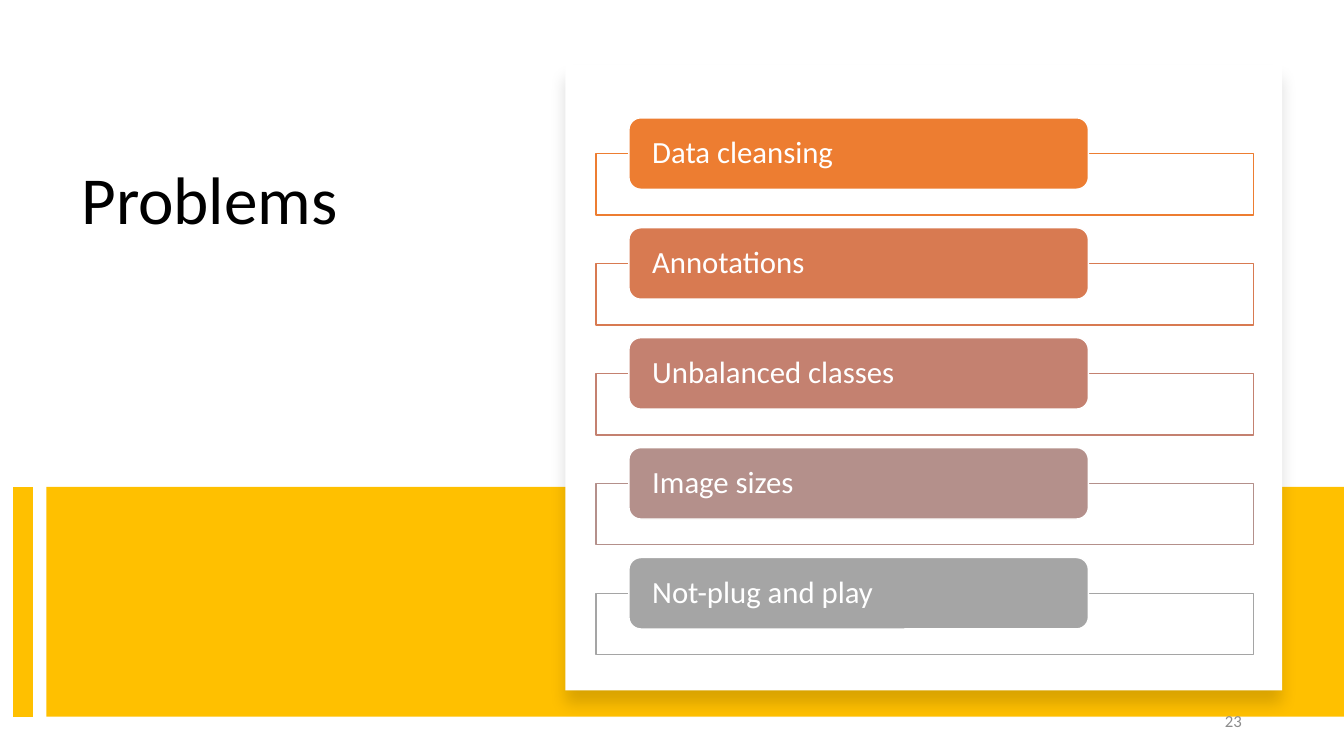
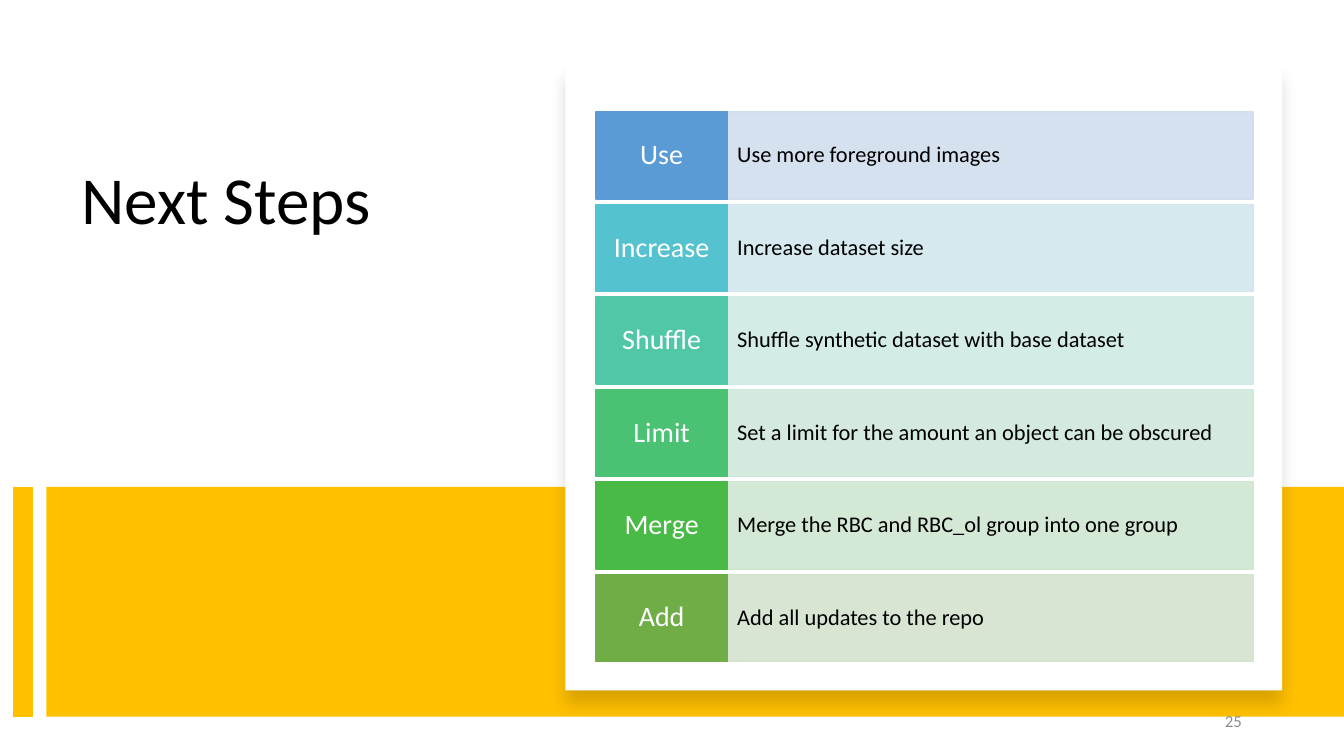
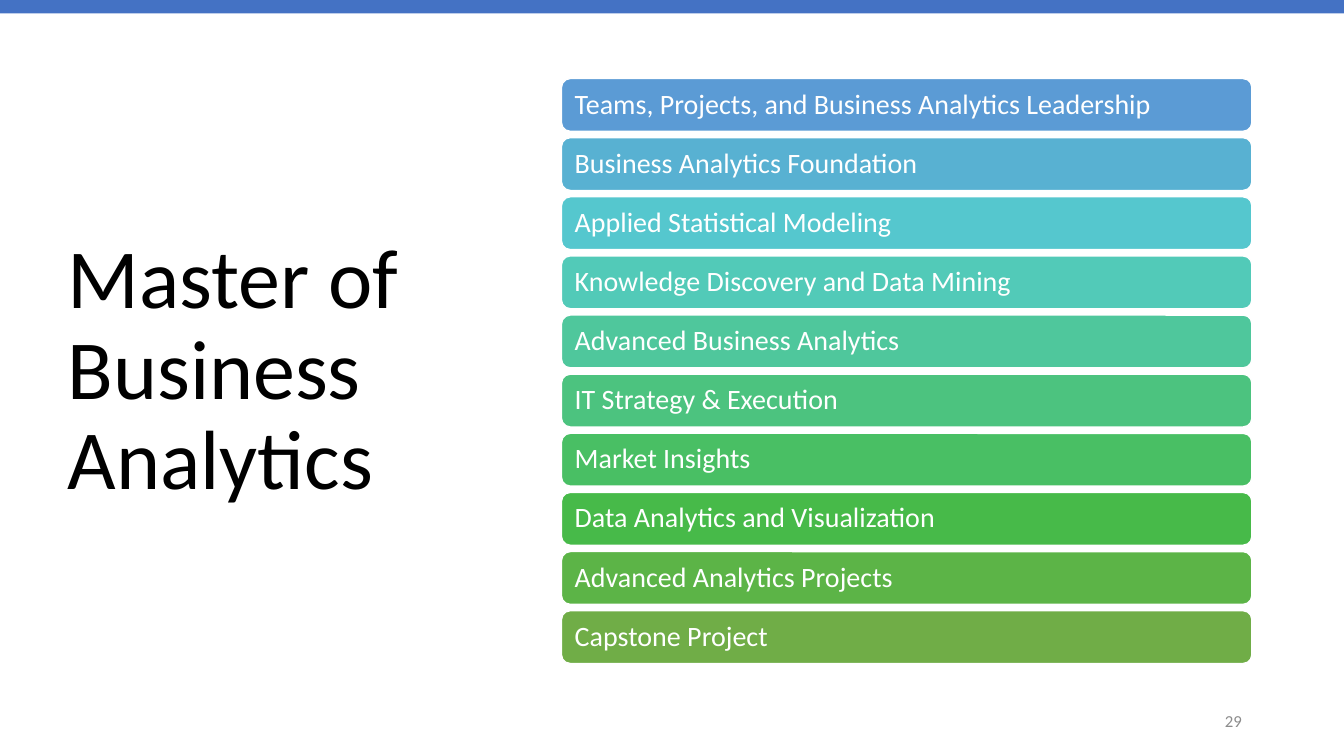
from dataclasses import dataclass, replace
from typing import Optional

from lxml.etree import SubElement
from pptx import Presentation
from pptx.dml.color import RGBColor
from pptx.enum.shapes import MSO_CONNECTOR, MSO_SHAPE
from pptx.enum.text import MSO_ANCHOR, MSO_AUTO_SIZE, PP_ALIGN
from pptx.oxml.ns import qn
from pptx.shapes.autoshape import Shape
from pptx.slide import Slide
from pptx.text.text import TextFrame
from pptx.util import Cm, Pt

FONT = "Calibri"
BLACK, WHITE, GREY = "000000", "FFFFFF", "8C8C8C"
GOLD, BLUE = "FFC000", "4472C4"
SLIDE_WIDTH, SLIDE_HEIGHT = 33.87, 19.05
TITLE_ONLY = 5


@dataclass(frozen=True)
class Box:
    """A rectangle in centimetres."""
    left: float
    top: float
    width: float
    height: float

    def lowered(self, distance: float) -> "Box":
        return replace(self, top=self.top + distance)

    def lengths(self) -> tuple:
        return Cm(self.left), Cm(self.top), Cm(self.width), Cm(self.height)


@dataclass(frozen=True)
class TextStyle:
    size: float
    color: str = WHITE
    align: PP_ALIGN = PP_ALIGN.LEFT
    anchor: MSO_ANCHOR = MSO_ANCHOR.MIDDLE
    side_inset: float = 0.25
    line_spacing: float = 0.9


@dataclass(frozen=True)
class Problem:
    name: str
    color: str


@dataclass(frozen=True)
class Step:
    verb: str
    action: str
    color: str
    tint: str


@dataclass(frozen=True)
class Course:
    name: str
    color: str


PROBLEMS = [
    Problem("Data cleansing", "ED7D31"),
    Problem("Annotations", "D87A51"),
    Problem("Unbalanced classes", "C48170"),
    Problem("Image sizes", "B4908B"),
    Problem("Not-plug and play", "A5A5A5"),
]
STEPS = [
    Step("Use", "Use more foreground images", "5B9BD5", "D2DEEF"),
    Step("Increase", "Increase dataset size", "55C3CF", "D1E7ED"),
    Step("Shuffle", "Shuffle synthetic dataset with base dataset", "50C8A7", "D0EBE6"),
    Step("Limit", "Set a limit for the amount an object can be obscured", "4BC174", "D0E8DB"),
    Step("Merge", "Merge the RBC and RBC_ol group into one group", "4ABA46", "CFE6D1"),
    Step("Add", "Add all updates to the repo", "70AD47", "D5E3CF"),
]
COURSES = [
    Course("Teams, Projects, and Business Analytics Leadership", "5B9BD5"),
    Course("Business Analytics Foundation", "58B1D2"),
    Course("Applied Statistical Modeling", "55C7CE"),
    Course("Knowledge Discovery and Data Mining", "52CAB8"),
    Course("Advanced Business Analytics", "4FC79C"),
    Course("IT Strategy & Execution", "4CC37F"),
    Course("Market Insights", "49BF64"),
    Course("Data Analytics and Visualization", "47BA49"),
    Course("Advanced Analytics Projects", "5CB447"),
    Course("Capstone Project", "70AD47"),
]

CARD_TITLE = TextStyle(48, BLACK, anchor=MSO_ANCHOR.TOP)
COURSES_TITLE = TextStyle(60, BLACK)
PAGE_NUMBER = TextStyle(12, GREY, PP_ALIGN.RIGHT, line_spacing=1.0)
PROBLEM_NAME = TextStyle(22, side_inset=0.5)
STEP_VERB = TextStyle(20, align=PP_ALIGN.CENTER, side_inset=0.18)
STEP_ACTION = TextStyle(16, BLACK)
COURSE_NAME = TextStyle(20, side_inset=0.27)


def rgb(color: str) -> RGBColor:
    return RGBColor.from_string(color)


def write(frame: TextFrame, text: str, style: TextStyle) -> None:
    frame.text = text
    frame.word_wrap = True
    frame.auto_size = MSO_AUTO_SIZE.NONE
    frame.vertical_anchor = style.anchor
    frame.margin_left = frame.margin_right = Cm(style.side_inset)
    frame.margin_top = frame.margin_bottom = Cm(0.13)
    paragraph = frame.paragraphs[0]
    paragraph.alignment = style.align
    paragraph.line_spacing = style.line_spacing
    paragraph.font.name = FONT
    paragraph.font.size = Pt(style.size)
    paragraph.font.color.rgb = rgb(style.color)


def add_block(slide: Slide, box: Box, fill: str, line: Optional[str] = None,
              rounded: bool = False, opacity: int = 100) -> Shape:
    """Add a filled rectangle; opacity is a percentage and affects the fill only."""
    preset = MSO_SHAPE.ROUNDED_RECTANGLE if rounded else MSO_SHAPE.RECTANGLE
    block = slide.shapes.add_shape(preset, *box.lengths())
    block.shadow.inherit = False
    block.fill.solid()
    block.fill.fore_color.rgb = rgb(fill)
    if opacity < 100:
        fill_color = block.element.spPr.find(f"{qn('a:solidFill')}/{qn('a:srgbClr')}")
        SubElement(fill_color, qn("a:alpha"), val=str(opacity * 1000))
    if line:
        block.line.color.rgb = rgb(line)
        block.line.width = Pt(1)
    else:
        block.line.fill.background()
    return block


def add_soft_shadow(block: Shape) -> None:
    effects = block.element.spPr.find(qn("a:effectLst"))
    shadow = SubElement(effects, qn("a:outerShdw"), blurRad=str(Pt(11)), dist=str(Pt(10)),
                        dir="5400000", algn="t", rotWithShape="0")
    shadow_color = SubElement(shadow, qn("a:srgbClr"), val=BLACK)
    SubElement(shadow_color, qn("a:alpha"), val="15000")


def add_titled_slide(deck: Presentation, title: str, box: Box, style: TextStyle) -> Slide:
    slide = deck.slides.add_slide(deck.slide_layouts[TITLE_ONLY])
    heading = slide.shapes.title
    heading.left, heading.top, heading.width, heading.height = box.lengths()
    write(heading.text_frame, title, style)
    return slide


def add_page_number(slide: Slide, number: int) -> None:
    box = Box(23.93, 17.65, 7.62, 1.02)
    write(slide.shapes.add_textbox(*box.lengths()).text_frame, str(number), PAGE_NUMBER)


def add_card_slide(deck: Presentation, title: str, number: int) -> Slide:
    """Add a slide with the gold band and the white card that holds its list."""
    slide = add_titled_slide(deck, title, Box(1.8, 4.06, 10.54, 7.47), CARD_TITLE)
    band = Box(1.17, 12.27, 32.7, 5.79)
    add_block(slide, band, GOLD)
    stripe = slide.shapes.add_connector(
        MSO_CONNECTOR.STRAIGHT, Cm(0.58), Cm(band.top), Cm(0.58), Cm(band.top + band.height))
    stripe.line.color.rgb = rgb(GOLD)
    stripe.line.width = Pt(14)
    SubElement(stripe.element.spPr, qn("a:effectLst"))
    add_soft_shadow(add_block(slide, Box(14.25, 1.63, 18.06, 15.77), WHITE))
    add_page_number(slide, number)
    return slide


def build_problems(deck: Presentation) -> None:
    slide = add_card_slide(deck, "Problems", 23)
    frame, tab, pitch = Box(15.02, 3.87, 16.57, 1.55), Box(15.85, 2.97, 11.58, 1.8), 2.77
    for row, problem in enumerate(PROBLEMS):
        add_block(slide, frame.lowered(row * pitch), WHITE, problem.color, opacity=90)
        label = add_block(slide, tab.lowered(row * pitch), problem.color, WHITE, rounded=True)
        write(label.text_frame, problem.name, PROBLEM_NAME)


def build_next_steps(deck: Presentation) -> None:
    slide = add_card_slide(deck, "Next Steps", 25)
    verb_box, action_box, pitch = Box(15.02, 2.82, 3.31, 2.2), Box(18.33, 2.82, 13.25, 2.2), 2.33
    for row, step in enumerate(STEPS):
        action = add_block(slide, action_box.lowered(row * pitch), step.tint, step.tint, opacity=90)
        write(action.text_frame, step.action, STEP_ACTION)
        verb = add_block(slide, verb_box.lowered(row * pitch), step.color, step.color)
        write(verb.text_frame, step.verb, STEP_VERB)


def build_courses(deck: Presentation) -> None:
    slide = add_titled_slide(deck, "Master of Business Analytics",
                             Box(1.45, 1.73, 10.57, 15.29), COURSES_TITLE)
    add_block(slide, Box(0, 0, SLIDE_WIDTH, 0.34), BLUE)
    bar, pitch = Box(14.15, 1.98, 17.4, 1.33), 1.49
    for row, course in enumerate(COURSES):
        label = add_block(slide, bar.lowered(row * pitch), course.color, WHITE, rounded=True)
        write(label.text_frame, course.name, COURSE_NAME)
    add_page_number(slide, 29)


def main() -> None:
    deck = Presentation()
    deck.slide_width, deck.slide_height = Cm(SLIDE_WIDTH), Cm(SLIDE_HEIGHT)
    build_problems(deck)
    build_next_steps(deck)
    build_courses(deck)
    deck.save("out.pptx")


if __name__ == "__main__":
    main()
